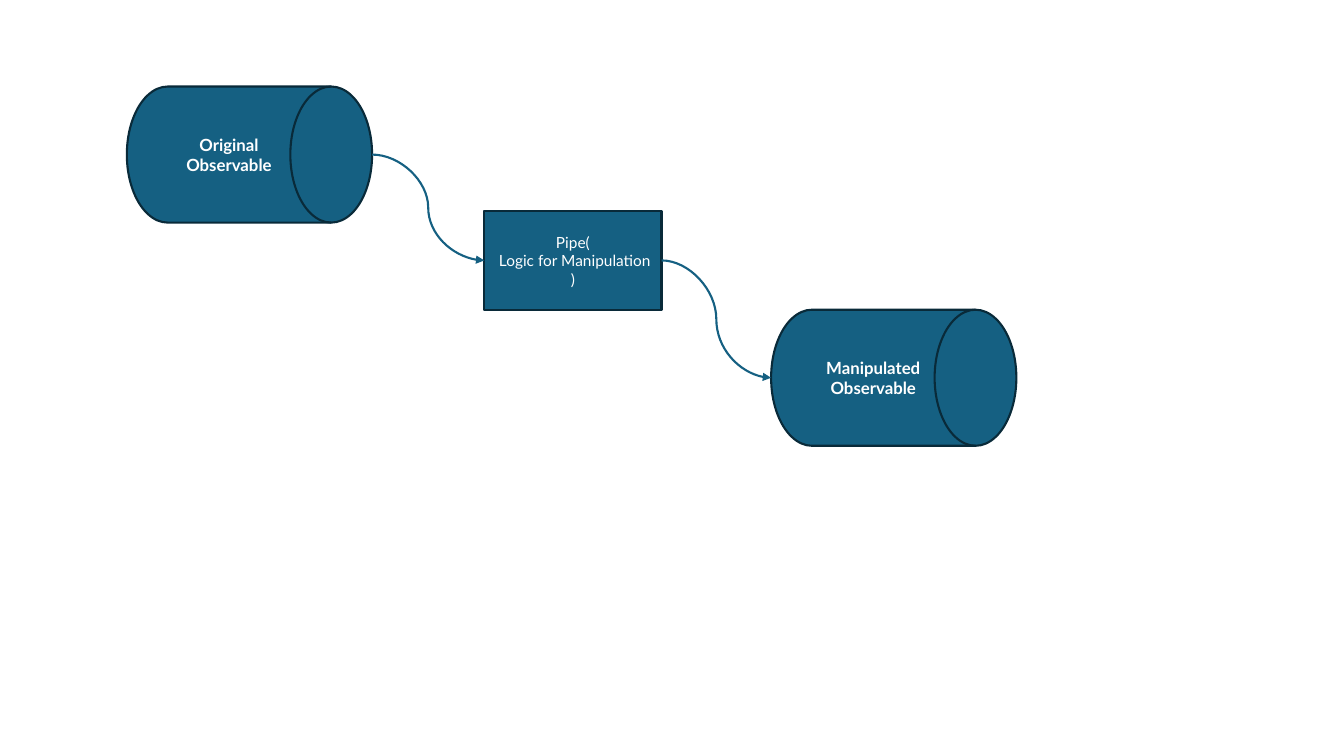
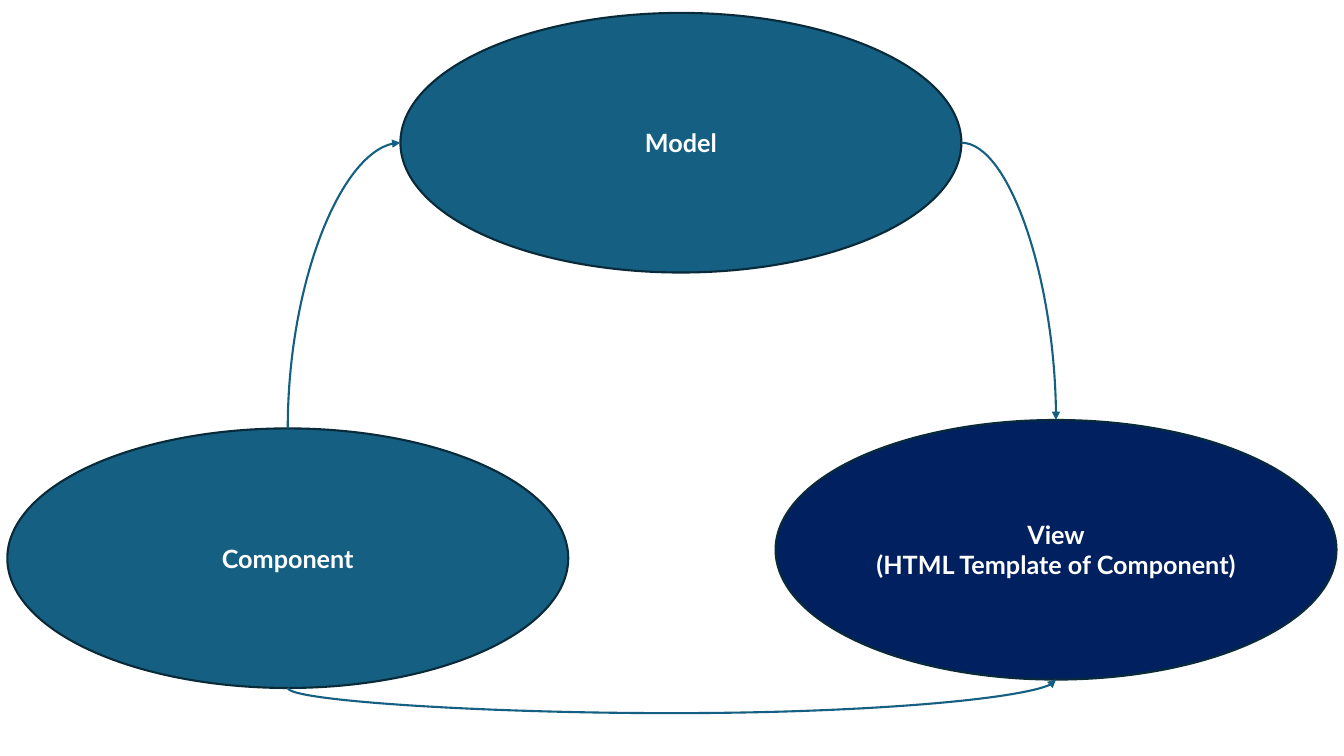
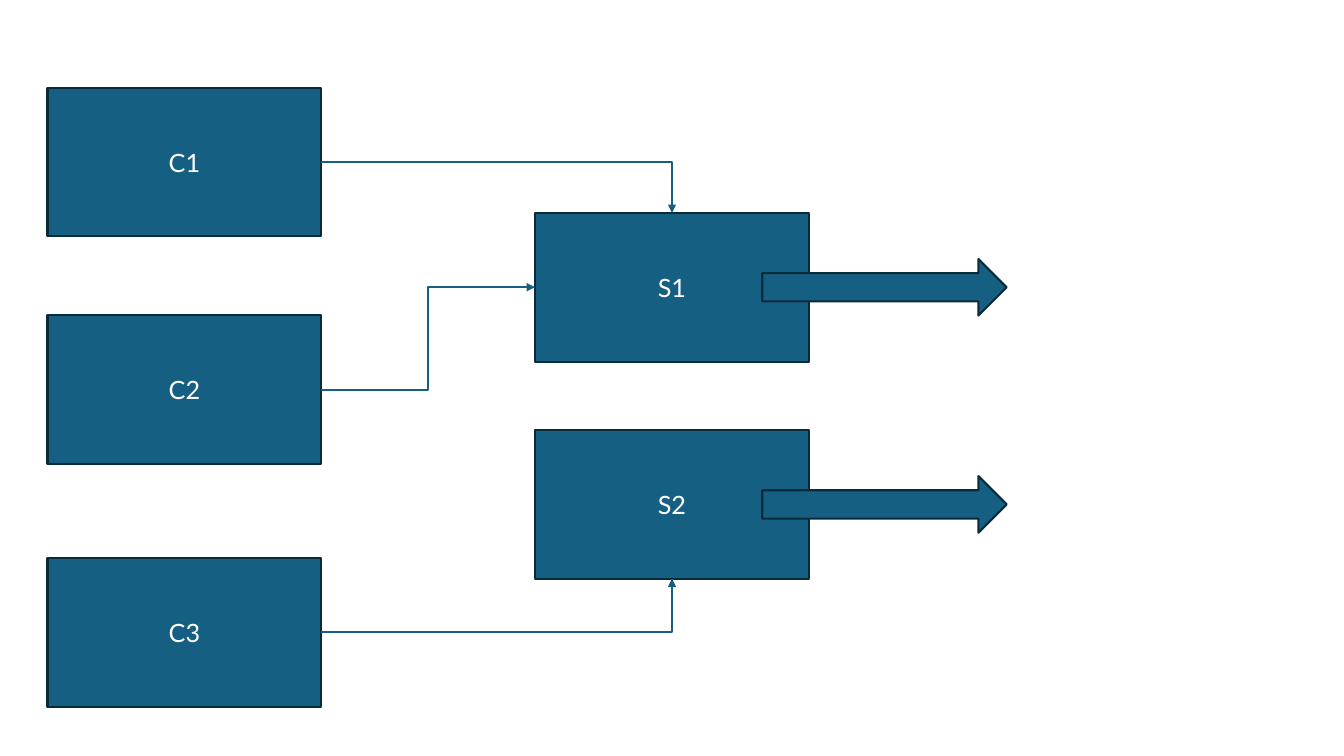
from lxml import etree
from pptx import Presentation
from pptx.dml.color import RGBColor
from pptx.enum.shapes import MSO_CONNECTOR, MSO_SHAPE
from pptx.enum.text import MSO_ANCHOR, PP_ALIGN
from pptx.oxml.ns import qn
from pptx.util import Inches, Pt

BOX, OVAL, ARROW = MSO_SHAPE.RECTANGLE, MSO_SHAPE.OVAL, MSO_SHAPE.RIGHT_ARROW
DRUM = MSO_SHAPE.FLOWCHART_DIRECT_ACCESS_STORAGE
CURVE, ELBOW = MSO_CONNECTOR.CURVE, MSO_CONNECTOR.ELBOW
MIDDLE, CENTER = MSO_ANCHOR.MIDDLE, PP_ALIGN.CENTER

THEME = {
    "teal": RGBColor.from_string("156082"),
    "navy": RGBColor.from_string("002060"),
    "edge": RGBColor.from_string("092A39"),
    "text": RGBColor.from_string("FFFFFF"),
    "line": Pt(1.5),
    "strong": {"name": "Lato", "size": Pt(12), "bold": True},
    "small": {"name": "Lato", "size": Pt(11), "bold": False},
    "big": {"name": "Lato", "size": Pt(18), "bold": False},
    "title": {"name": "Lato", "size": Pt(18), "bold": True},
}

# Each side: its connection site on every kind of shape, and its place as shares
SITES = {
    BOX: {"top": 0, "left": 1, "bottom": 2, "right": 3},
    OVAL: {"top": 0, "left": 2, "bottom": 4, "right": 6},
    DRUM: {"top": 0, "left": 1, "bottom": 2, "right": 4},
}
SPOTS = {"top": (0.5, 0), "left": (0, 0.5), "bottom": (0.5, 1), "right": (1, 0.5)}
FLAT = ("left", "right")

deck = Presentation()
deck.slide_width, deck.slide_height = Inches(40 / 3), Inches(7.5)
CELL = deck.slide_width / 160  # square grid of 160 columns and 90 rows


def place(slide, kind, col, row, cols, rows, text="", style="big", fill="teal"):
    shape = slide.shapes.add_shape(kind, *(round(n * CELL) for n in (col, row, cols, rows)))
    shape.shadow.inherit = False
    shape.fill.solid()
    shape.fill.fore_color.rgb = THEME[fill]
    shape.line.color.rgb = THEME["edge"]
    shape.line.width = THEME["line"]
    frame = shape.text_frame
    frame.vertical_anchor = MIDDLE
    frame.text = text
    for para in frame.paragraphs:
        para.alignment = CENTER
        for run in para.runs:
            run.font.color.rgb = THEME["text"]
            for key, value in THEME[style].items():
                setattr(run.font, key, value)
    return shape


def link(slide, route, start, out, end, into, bulge=0):
    """Join two shape sides with an arrow; bulge is how many rows it dips below."""
    (x1, y1), (x2, y2) = (
        (round(s.left + s.width * SPOTS[side][0]), round(s.top + s.height * SPOTS[side][1]))
        for s, side in ((start, out), (end, into))
    )
    line = slide.shapes.add_connector(route, x1, y1, x2, y2)
    line.line.color.rgb = THEME["teal"]
    line.line.width = THEME["line"]
    props = line._element.spPr
    if out not in FLAT:  # leaves upright: a quarter turn swaps width and height
        wide, high = abs(y2 - y1), abs(x2 - x1)
        line.left, line.top = (x1 + x2 - wide) // 2, (y1 + y2 - high) // 2
        line.width, line.height = wide, high
        for key, value in {"rot": "5400000", "flipH": "1", "flipV": "1"}.items():
            props.find(qn("a:xfrm")).set(key, value)
    shape = props.find(qn("a:prstGeom"))
    if (out in FLAT) != (into in FLAT):
        shape.set("prst", shape.get("prst").replace("3", "2"))
    if bulge:
        share = round(-bulge * CELL / abs(y2 - y1) * 100000)
        etree.SubElement(shape.find(qn("a:avLst")), qn("a:gd"), name="adj1", fmla=f"val {share}")
    etree.SubElement(props.find(qn("a:ln")), qn("a:tailEnd"), type="triangle")
    etree.SubElement(props, qn("a:effectLst"))
    joints = line._element.find(qn("p:nvCxnSpPr")).find(qn("p:cNvCxnSpPr"))
    for tag, joined, side in (("a:stCxn", start, out), ("a:endCxn", end, into)):
        site = SITES[joined.auto_shape_type][side]
        etree.SubElement(joints, qn(tag), id=str(joined.shape_id), idx=str(site))


flow, cycle, calls = (deck.slides.add_slide(deck.slide_layouts[6]) for _ in range(3))

# Observable flow
drum = (29.2, 16.2)
first = place(flow, DRUM, 15.1, 10.3, *drum, "Original\nObservable", "strong")
last = place(flow, DRUM, 91.8, 36.87, *drum, "Manipulated\vObservable", "strong")
pipe = place(flow, BOX, 57.66, 25.1, 21.1, 11.8, "Pipe(\n Logic for Manipulation\n)", "small")
link(flow, CURVE, first, "right", pipe, "left")
link(flow, CURVE, pipe, "right", last, "left")

# Model, view and component
oval = (66.78, 30.9)
model = place(cycle, OVAL, 47.67, 1.54, *oval, "Model", "title")
view = place(cycle, OVAL, 92.33, 50, *oval, "View\n(HTML Template of Component)", "title", "navy")
part = place(cycle, OVAL, 0.87, 51, *oval, "Component", "title")
link(cycle, CURVE, model, "right", view, "top")
link(cycle, CURVE, part, "bottom", view, "bottom", bulge=3)
link(cycle, CURVE, part, "top", model, "left")

# Components calling services
box = (32.6, 17.7)
c1, c2, c3 = (
    place(calls, BOX, 5.66, row, *box, f"C{n}")
    for n, row in enumerate((10.45, 37.55, 66.43), 1)
)
rows = (25.35, 51.2)
s1, s2 = (place(calls, BOX, 63.7, row, *box, f"S{n}") for n, row in enumerate(rows, 1))
link(calls, ELBOW, c1, "right", s1, "top")
link(calls, ELBOW, c2, "right", s1, "left")
link(calls, ELBOW, c3, "right", s2, "bottom")
thick = 6.75
for row in rows:
    place(calls, ARROW, 90.75, row + (box[1] - thick) / 2, 29.1, thick)

deck.save("out.pptx")
